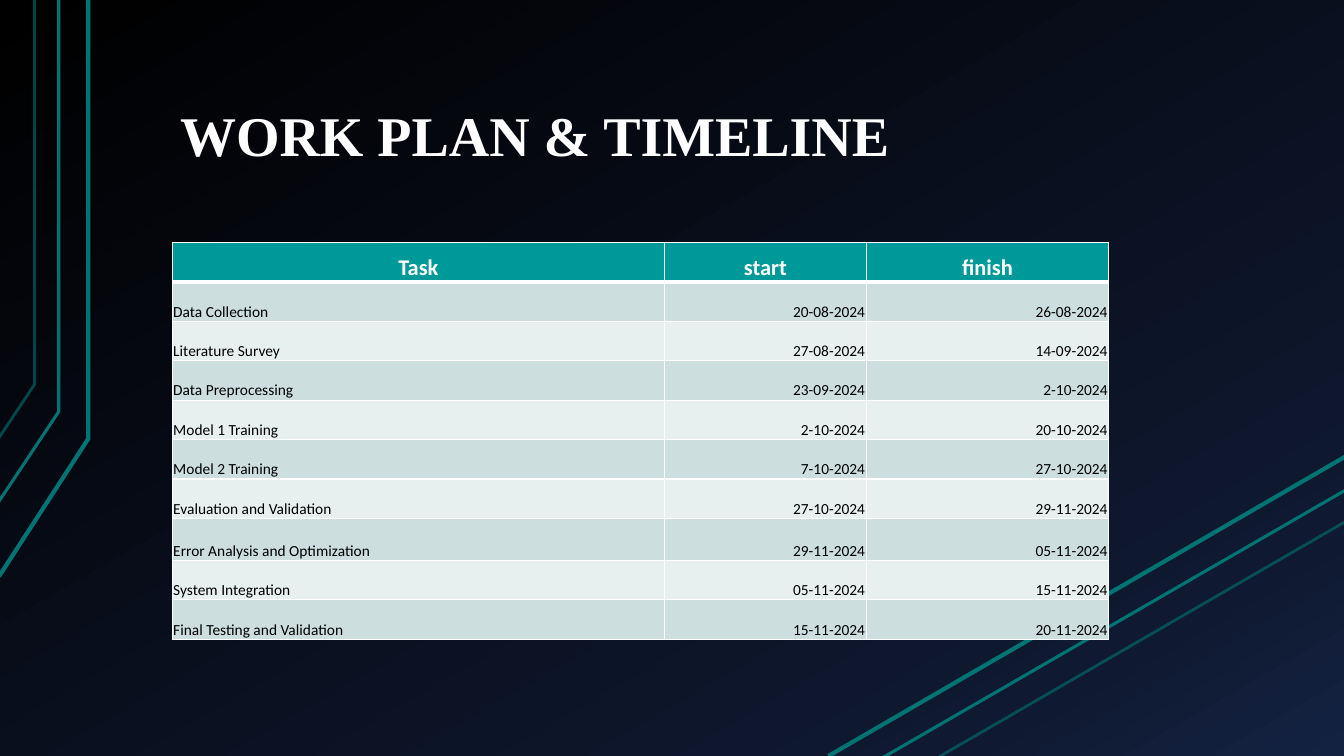
from lxml import etree
from pptx import Presentation
from pptx.dml.color import RGBColor
from pptx.enum.shapes import MSO_CONNECTOR
from pptx.enum.text import MSO_ANCHOR, MSO_AUTO_SIZE, PP_ALIGN
from pptx.oxml import parse_xml
from pptx.oxml.ns import nsdecls, qn
from pptx.util import Pt

PX = 9525
LEFT, CENTER, RIGHT = PP_ALIGN.LEFT, PP_ALIGN.CENTER, PP_ALIGN.RIGHT
BOTTOM, MIDDLE = MSO_ANCHOR.BOTTOM, MSO_ANCHOR.MIDDLE
FIT_SHAPE = MSO_AUTO_SIZE.SHAPE_TO_FIT_TEXT
STRAIGHT = MSO_CONNECTOR.STRAIGHT
WHITE, BLACK, TEAL = "FFFFFF", "000000", "007373"


def rgb(value):
    return RGBColor.from_string(value)


def style_line(s, width, alpha):
    """Give a decoration its teal stroke, opacity in percent and no shadow."""
    s.line.width = Pt(width)
    s.line.color.rgb = rgb(TEAL)
    color = s.line._get_or_add_ln().find(f".//{qn('a:srgbClr')}")
    etree.SubElement(color, qn("a:alpha"), val=str(alpha * 1000))
    etree.SubElement(s._element.spPr, qn("a:effectLst"))


prs = Presentation()
prs.slide_width, prs.slide_height = 1280 * PX, 720 * PX
slide = prs.slides.add_slide(prs.slide_layouts[5])

# Background gradient
stops = "".join(
    f'<a:gs pos="{pos * 1000}"><a:srgbClr val="{color}"/></a:gs>'
    for pos, color in [(0, "000000"), (85, "0F1931"), (100, "142242")])
slide.background.fill.solid()
bg_pr = slide.background._cSld.bg.bgPr
bg_pr.replace(bg_pr[0], parse_xml(
    f'<a:gradFill {nsdecls("a")} rotWithShape="1"><a:gsLst>{stops}</a:gsLst>'
    '<a:lin ang="3600000" scaled="0"/></a:gradFill>'))

# Bent lines on the left, diagonal lines on the right
strokes = [(3, 100), (2.25, 100), (2, 60)]
bent_lines = [
    [(-1, 549), (84, 418), (84, 0)],
    [(-2, 479), (56, 392), (56, 0)],
    [(-1, 417), (33, 366), (33, 0)],
]
diagonals = [(789, 720, 1281, 435), (840, 722, 1281, 467), (894, 721, 1281, 497)]
for points, diagonal, (width, alpha) in zip(bent_lines, diagonals, strokes):
    builder = slide.shapes.build_freeform(*points[0], scale=PX)
    builder.add_line_segments(points[1:], close=False)
    s = builder.convert_to_shape()
    s.fill.background()
    style_line(s, width, alpha)
    s = slide.shapes.add_connector(STRAIGHT, *[v * PX for v in diagonal])
    style_line(s, width, alpha)

# Title
title = slide.shapes.title
title.left, title.top, title.width, title.height = [v * PX for v in (162, 91, 931, 74)]
tf = title.text_frame
tf.word_wrap = True
tf.auto_size = FIT_SHAPE
tf.vertical_anchor = MIDDLE
p = tf.paragraphs[0]
p.alignment = LEFT
r = p.add_run()
r.text = "WORK PLAN & TIMELINE"
r.font.name, r.font.size, r.font.bold = "Times New Roman", Pt(40), True
r.font.color.rgb = rgb(WHITE)

# Timeline table
rows = [
    ("Task", "start", "finish"),
    ("Data Collection", "20-08-2024", "26-08-2024"),
    ("Literature Survey", "27-08-2024", "14-09-2024"),
    ("Data Preprocessing", "23-09-2024", "2-10-2024"),
    ("Model 1 Training", "2-10-2024", "20-10-2024"),
    ("Model 2 Training", "7-10-2024", "27-10-2024"),
    ("Evaluation and Validation", "27-10-2024", "29-11-2024"),
    ("Error Analysis and Optimization", "29-11-2024", "05-11-2024"),
    ("System Integration", "05-11-2024", "15-11-2024"),
    ("Final Testing and Validation", "15-11-2024", "20-11-2024"),
]
col_widths = [469, 192, 231]
tall_row, tall_height, table_height = 7, 40, 378
row_height = (table_height - tall_height) * PX // (len(rows) - 1)
table = slide.shapes.add_table(
    len(rows), len(col_widths), 164 * PX, 231 * PX,
    sum(col_widths) * PX, table_height * PX).table
for column, width in zip(table.columns, col_widths):
    column.width = width * PX

for i, values in enumerate(rows):
    header = i == 0
    table.rows[i].height = tall_height * PX if i == tall_row else row_height
    fill = "009999" if header else ("E7EFEF", "CCDEDE")[i % 2]
    borders = {"L": 1, "R": 1, "T": 3 if i == 1 else 1, "B": 3 if header else 1}
    for j, value in enumerate(values):
        cell = table.cell(i, j)
        cell.margin_left = cell.margin_right = cell.margin_top = PX
        cell.margin_bottom = 0
        cell.vertical_anchor = BOTTOM
        for side, width in borders.items():
            cell._tc.get_or_add_tcPr().append(parse_xml(
                f'<a:ln{side} {nsdecls("a")} w="{Pt(width)}"><a:solidFill>'
                f'<a:srgbClr val="{WHITE}"/></a:solidFill></a:ln{side}>'))
        cell.fill.solid()
        cell.fill.fore_color.rgb = rgb(fill)
        p = cell.text_frame.paragraphs[0]
        p.alignment = CENTER if header else RIGHT if j else LEFT
        r = p.add_run()
        r.text = value
        r.font.name, r.font.bold = "Calibri", header
        r.font.size = Pt(16 if header else 11)
        r.font.color.rgb = rgb(WHITE if header else BLACK)

prs.save("out.pptx")
